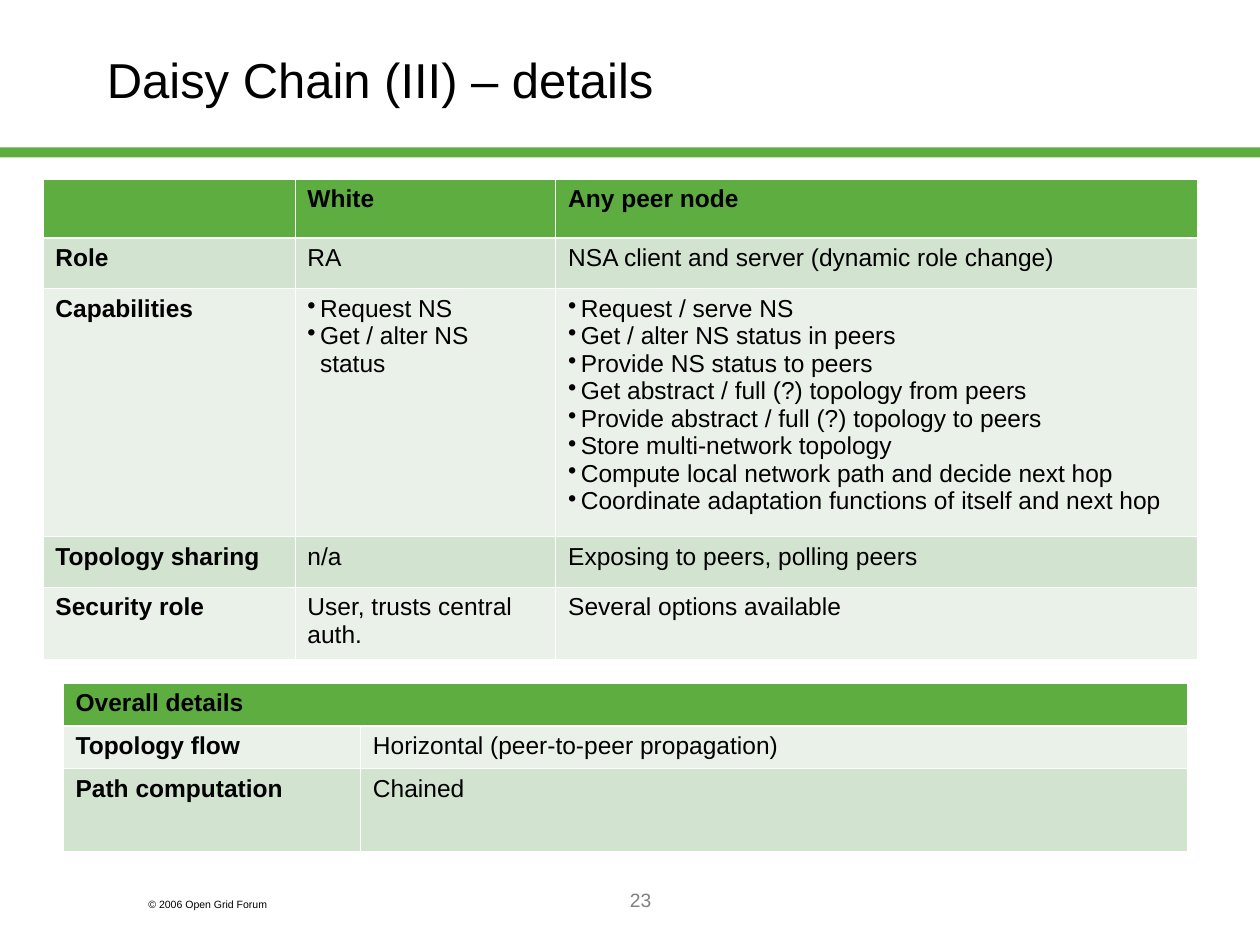
from dataclasses import dataclass

from lxml import etree
from pptx import Presentation
from pptx import util as u
from pptx.dml.color import RGBColor
from pptx.enum import shapes, text
from pptx.oxml.ns import qn


@dataclass(frozen=True)
class Theme:
    font: str = "Arial"
    green: str = "5DAD41"
    mid: str = "D2E3CF"
    pale: str = "EAF1E8"
    ink: str = "000000"
    gray: str = "808080"
    line: str = "FFFFFF"
    title: float = 28
    body: float = 14
    page: float = 11
    note: float = 6
    thin: float = 0.45
    thick: float = 1.47


def paint(fill, color):
    fill.solid()
    fill.fore_color.rgb = RGBColor.from_string(color)


class Deck:
    def __init__(self, theme):
        self.theme = theme
        self.prs = Presentation()
        self.prs.slide_width = u.Inches(10)
        self.prs.slide_height = u.Inches(7.5)
        self.slide = self.prs.slides.add_slide(self.prs.slide_layouts[6])

    def style(self, para, size, color, bold=False):
        font = para.font
        font.name = self.theme.font
        font.size = u.Pt(size)
        font.bold = bold
        font.color.rgb = RGBColor.from_string(color)

    def bar(self, *box):
        shape = self.slide.shapes.add_shape(
            shapes.MSO_SHAPE.RECTANGLE, *map(u.Inches, box))
        shape.shadow.inherit = False
        paint(shape.fill, self.theme.green)
        shape.line.fill.background()

    def label(self, words, box, size, color, align=text.PP_ALIGN.LEFT,
              anchor=text.MSO_ANCHOR.TOP, before=0):
        frame = self.slide.shapes.add_textbox(*map(u.Inches, box)).text_frame
        frame.word_wrap = True
        frame.vertical_anchor = anchor
        para = frame.paragraphs[0]
        para.text = words
        para.alignment = align
        para.space_before = u.Pt(before)
        self.style(para, size, color)

    def bullet(self, para):
        props = para._p.get_or_add_pPr()
        props.set("marL", str(u.Inches(0.1)))
        props.set("indent", str(u.Inches(-0.1)))
        etree.SubElement(props, qn("a:buChar"), char="•")

    def edges(self, cell, top, bottom):
        """Draw the four cell borders; widths are in points."""
        props = cell._tc.get_or_add_tcPr()
        thin = self.theme.thin
        sides = (("L", thin), ("R", thin), ("T", top), ("B", bottom))
        for spot, (side, width) in enumerate(sides):
            line = etree.Element(qn("a:ln" + side), w=str(u.Pt(width)))
            fill = etree.SubElement(line, qn("a:solidFill"))
            etree.SubElement(fill, qn("a:srgbClr"), val=self.theme.line)
            props.insert(spot, line)

    def cell(self, cell, words, fill, bold):
        """Fill one cell; a list of words becomes bullets."""
        items = words if isinstance(words, list) else [words]
        frame = cell.text_frame
        for n, item in enumerate(items):
            para = frame.add_paragraph() if n else frame.paragraphs[0]
            para.text = item
            if items is words:
                self.bullet(para)
            self.style(para, self.theme.body, self.theme.ink, bold)
        paint(cell.fill, fill)

    def table(self, left, top, cols, rows, data, bands):
        """Add a table with a green head row and two alternating bands."""
        grid = self.slide.shapes.add_table(
            len(rows), len(cols), u.Inches(left), u.Inches(top),
            u.Inches(sum(cols)), u.Inches(sum(rows))).table
        grid.first_row = grid.horz_banding = False
        for col, width in zip(grid.columns, cols):
            col.width = u.Inches(width)
        thin, thick = self.theme.thin, self.theme.thick
        for r, (row, height) in enumerate(zip(data, rows)):
            grid.rows[r].height = u.Inches(height)
            fill = bands[(r - 1) % 2] if r else self.theme.green
            for c, words in enumerate(row):
                cell = grid.cell(r, c)
                self.cell(cell, words, fill, r == 0 or c == 0)
                self.edges(cell, thick if r == 1 else thin,
                           thin if r else thick)
        return grid


NODES = [
    ["", "White", "Any peer node"],
    ["Role", "RA", "NSA client and server (dynamic role change)"],
    ["Capabilities",
     ["Request NS", "Get / alter NS\nstatus"],
     ["Request / serve NS",
      "Get / alter NS status in peers",
      "Provide NS status to peers",
      "Get abstract / full (?) topology from peers",
      "Provide abstract / full (?) topology to peers",
      "Store multi-network topology",
      "Compute local network path and decide next hop",
      "Coordinate adaptation functions of itself and next hop"]],
    ["Topology sharing", "n/a", "Exposing to peers, polling peers"],
    ["Security role", "User, trusts central auth.",
     "Several options available"],
]

OVERALL = [
    ["Overall details", ""],
    ["Topology flow", "Horizontal (peer-to-peer propagation)"],
    ["Path computation", "Chained"],
]


def main():
    theme = Theme()
    deck = Deck(theme)
    deck.bar(0, 1.17, 10, 0.08)
    deck.label("© 2006 Open Grid Forum", (1.08, 7.08, 1.5, 0.2),
               theme.note, theme.ink, before=3.7)
    deck.label("Daisy Chain (III) – details", (0.75, 0, 8.5, 1.25),
               theme.title, theme.ink, anchor=text.MSO_ANCHOR.MIDDLE)
    deck.label("23", (2.17, 7, 5.83, 0.5), theme.page, theme.gray,
               align=text.PP_ALIGN.CENTER)
    deck.table(0.34, 1.42, [2, 2.07, 5.09], [0.47, 0.4, 1.97, 0.4, 0.57],
               NODES, (theme.mid, theme.pale))
    grid = deck.table(0.5, 5.42, [2.36, 6.56], [0.34, 0.34, 0.66],
                      OVERALL, (theme.pale, theme.mid))
    grid.cell(0, 0).merge(grid.cell(0, 1))
    deck.prs.save("out.pptx")


if __name__ == "__main__":
    main()
